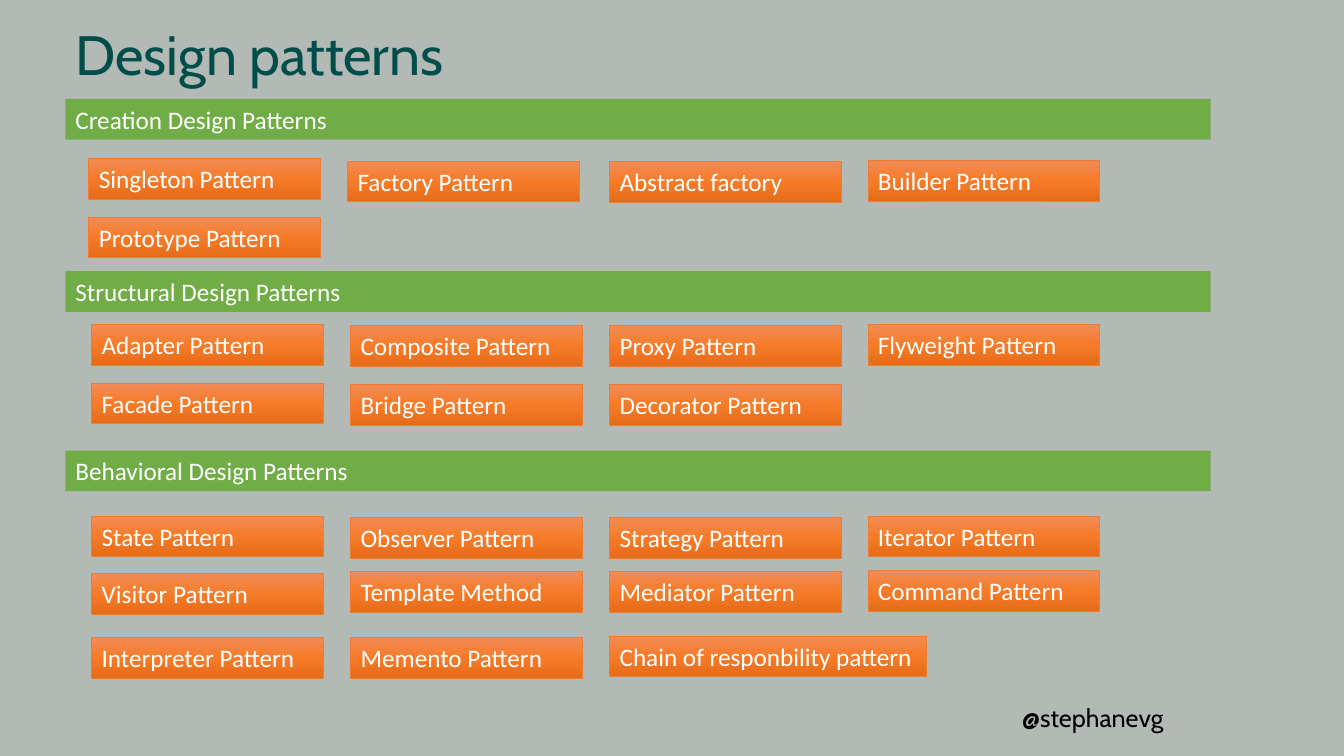
from copy import deepcopy
from dataclasses import dataclass

from pptx import Presentation
from pptx.dml.color import RGBColor
from pptx.enum.shapes import MSO_SHAPE
from pptx.enum.text import MSO_ANCHOR, MSO_AUTO_SIZE, PP_ALIGN
from pptx.oxml.ns import qn
from pptx.shapes.autoshape import Shape
from pptx.slide import Slide
from pptx.util import Pt

RECTANGLE = MSO_SHAPE.RECTANGLE
TOP, MIDDLE = MSO_ANCHOR.TOP, MSO_ANCHOR.MIDDLE
LEFT = PP_ALIGN.LEFT
GROW = MSO_AUTO_SIZE.SHAPE_TO_FIT_TEXT


@dataclass(frozen=True)
class TextStyle:
    font: str
    size: float
    color: str


@dataclass(frozen=True)
class Theme:
    background: str = "B3B9B5"
    bar: str = "70AD47"
    tile_line: str = "ED7D31"
    tile_stops: tuple[str, ...] = ("F18C57", "F67B28", "E56C19")
    title: TextStyle = TextStyle("Cabin", 39.6, "004D49")
    handle: TextStyle = TextStyle("Cabin", 18, "000000")
    label: TextStyle = TextStyle("Calibri", 18, "FFFFFF")


@dataclass(frozen=True)
class Box:
    left: float
    top: float
    width: float
    height: float


@dataclass(frozen=True)
class Tile:
    name: str
    top: float
    width: float = 165.6


@dataclass(frozen=True)
class Section:
    heading: str
    top: float
    rows: tuple[tuple[Tile, ...], ...]
    lefts: tuple[float, ...] = (65.5, 250.5, 435.5, 620)


THEME = Theme()
BAR_LEFT, BAR_WIDTH, LABEL_HEIGHT = 46.8, 817.9, 29.1

SECTIONS = (
    Section("Creation Design Patterns", 70.6, (
        (Tile("Singleton Pattern", 113), Tile("Factory Pattern", 115),
         Tile("Abstract factory", 115.3), Tile("Builder Pattern", 114.5)),
        (Tile("Prototype Pattern", 155),),
    ), lefts=(63.5, 248.4, 435.5, 620)),
    Section("Structural Design Patterns", 193.7, (
        (Tile("Adapter Pattern", 231.7), Tile("Composite Pattern", 232.5),
         Tile("Proxy Pattern", 232.5), Tile("Flyweight Pattern", 231.7)),
        (Tile("Facade Pattern", 273.6), Tile("Bridge Pattern", 274.5),
         Tile("Decorator Pattern", 274.5)),
    )),
    Section("Behavioral Design Patterns", 321.8, (
        (Tile("State Pattern", 368.5), Tile("Observer Pattern", 369.4),
         Tile("Strategy Pattern", 369.4), Tile("Iterator Pattern", 368.5)),
        (Tile("Visitor Pattern", 409.7), Tile("Template Method", 408.3),
         Tile("Mediator Pattern", 408.3), Tile("Command Pattern", 407.5)),
        (Tile("Interpreter Pattern", 455.2), Tile("Memento Pattern", 455.2),
         Tile("Chain of responbility pattern", 454.2, width=226.4)),
    )),
)


def rgb(color: str) -> RGBColor:
    return RGBColor.from_string(color)


def write_text(shape: Shape, text: str, style: TextStyle, anchor: MSO_ANCHOR) -> None:
    frame = shape.text_frame
    frame.word_wrap = True
    frame.vertical_anchor = anchor
    paragraph = frame.paragraphs[0]
    paragraph.alignment = LEFT
    run = paragraph.add_run()
    run.text = text
    run.font.name = style.font
    run.font.size = Pt(style.size)
    run.font.color.rgb = rgb(style.color)


def add_text(slide: Slide, box: Box, text: str, style: TextStyle) -> Shape:
    shape = slide.shapes.add_textbox(
        Pt(box.left), Pt(box.top), Pt(box.width), Pt(box.height))
    write_text(shape, text, style, MIDDLE)
    return shape


def add_label(slide: Slide, box: Box, text: str) -> Shape:
    """Add a rectangle with label text; its fill and line are left to the caller."""
    shape = slide.shapes.add_shape(
        RECTANGLE, Pt(box.left), Pt(box.top), Pt(box.width), Pt(box.height))
    shape.shadow.inherit = False
    write_text(shape, text, THEME.label, TOP)
    shape.text_frame.auto_size = GROW
    return shape


def add_bar(slide: Slide, section: Section) -> None:
    box = Box(BAR_LEFT, section.top, BAR_WIDTH, LABEL_HEIGHT)
    bar = add_label(slide, box, section.heading)
    bar.fill.solid()
    bar.fill.fore_color.rgb = rgb(THEME.bar)
    bar.line.fill.background()


def fill_with_gradient(shape: Shape, colors: tuple[str, ...]) -> None:
    """Fill from top to bottom with three evenly spaced colours."""
    shape.fill.gradient()
    shape.fill.gradient_angle = 270
    stop_list = shape.element.spPr.find(qn("a:gradFill")).find(qn("a:gsLst"))
    stop_list.append(deepcopy(stop_list[0]))
    for index, (stop, color) in enumerate(zip(shape.fill.gradient_stops, colors)):
        stop.position = index / (len(colors) - 1)
        stop.color.rgb = rgb(color)


def add_tile(slide: Slide, tile: Tile, left: float) -> None:
    shape = add_label(slide, Box(left, tile.top, tile.width, LABEL_HEIGHT), tile.name)
    fill_with_gradient(shape, THEME.tile_stops)
    shape.line.color.rgb = rgb(THEME.tile_line)
    shape.line.width = Pt(0.5)


def main() -> None:
    presentation = Presentation()
    presentation.slide_width, presentation.slide_height = Pt(960), Pt(540)
    slide = presentation.slides.add_slide(presentation.slide_layouts[6])
    slide.background.fill.solid()
    slide.background.fill.fore_color.rgb = rgb(THEME.background)

    title = add_text(slide, Box(46.8, 21.6, 828, 39.6), "Design patterns", THEME.title)
    title.text_frame.paragraphs[0].line_spacing = 0.9
    add_text(slide, Box(722.9, 498.2, 171.4, 28.8), "@stephanevg", THEME.handle)

    for section in SECTIONS:
        add_bar(slide, section)
        for row in section.rows:
            for tile, left in zip(row, section.lefts):
                add_tile(slide, tile, left)

    presentation.save("out.pptx")


if __name__ == "__main__":
    main()
